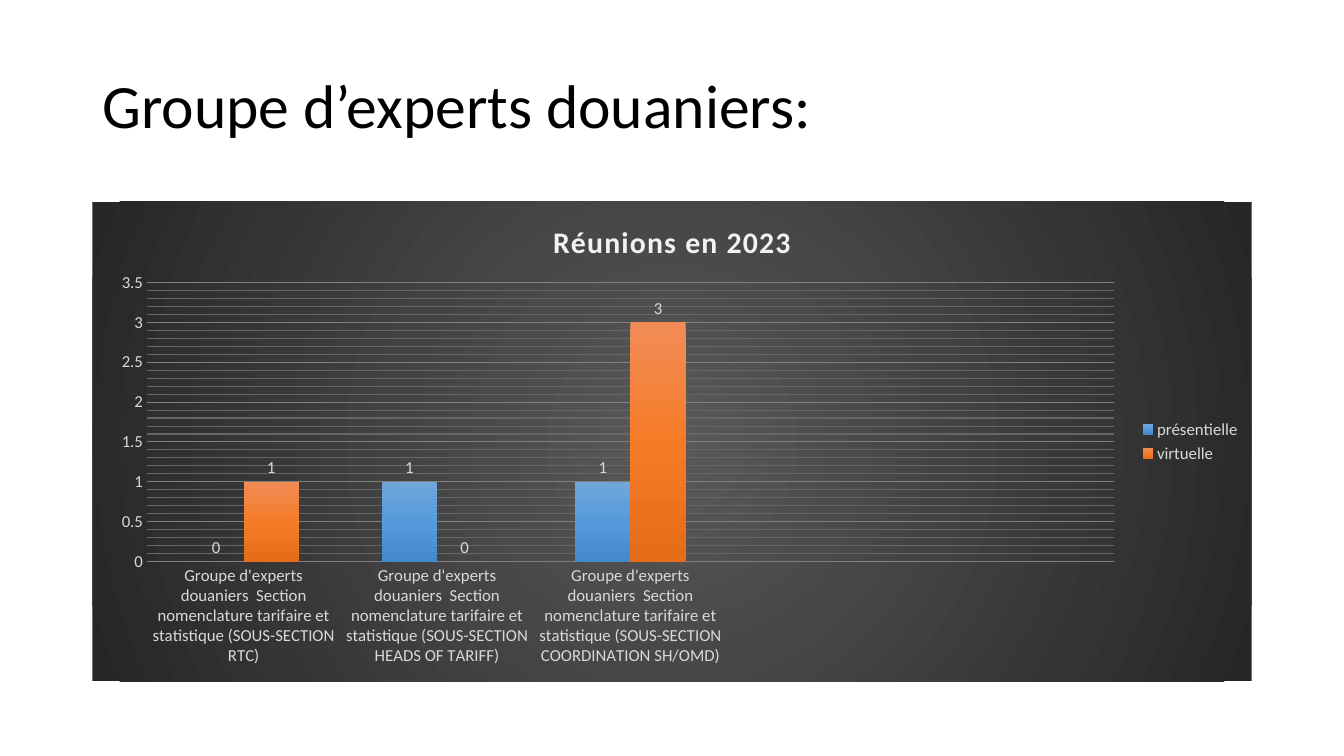
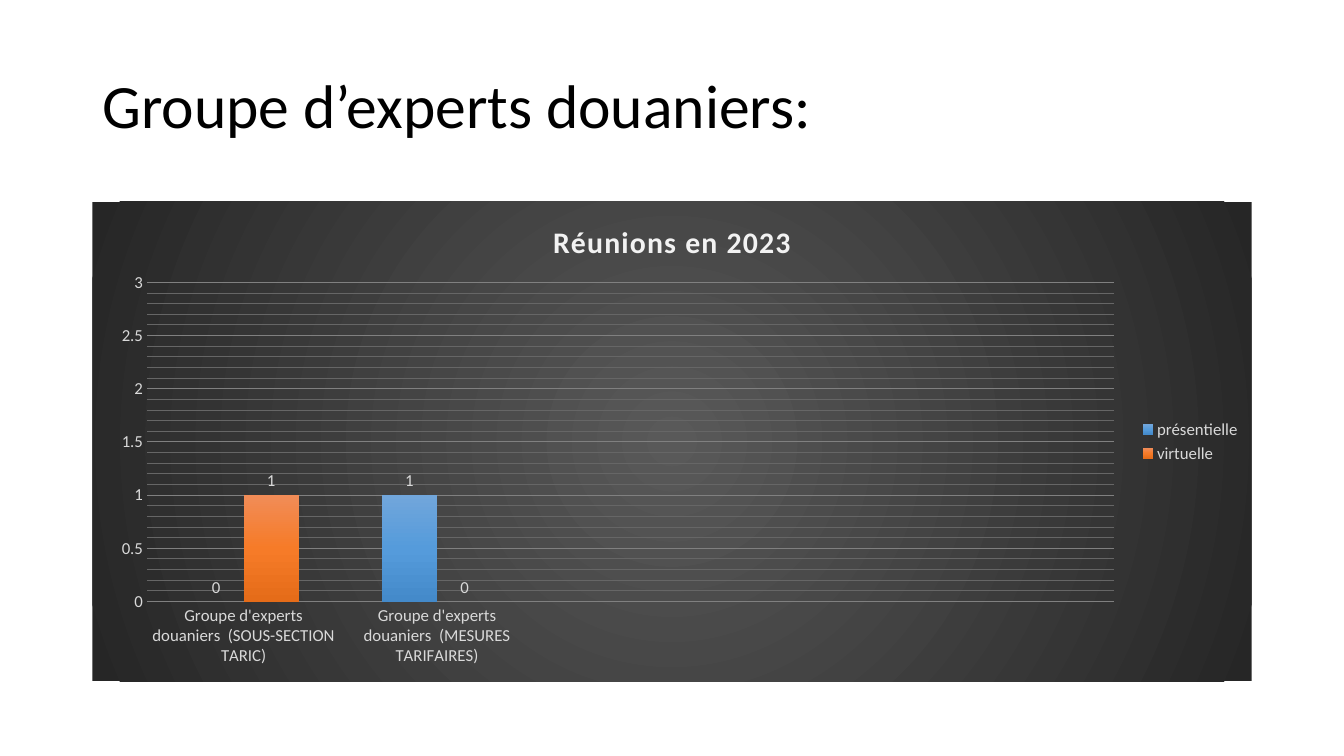
from lxml import etree
from pptx import Presentation
from pptx.chart.data import CategoryChartData
from pptx.dml.color import RGBColor
from pptx.enum.chart import XL_CHART_TYPE, XL_LABEL_POSITION, XL_LEGEND_POSITION, XL_TICK_MARK
from pptx.enum.text import MSO_ANCHOR, PP_ALIGN
from pptx.oxml import parse_xml
from pptx.oxml.ns import nsdecls, qn
from pptx.util import Pt

COLUMN = XL_CHART_TYPE.COLUMN_CLUSTERED
ABOVE = XL_LABEL_POSITION.OUTSIDE_END
RIGHT = XL_LEGEND_POSITION.RIGHT
NO_TICK = XL_TICK_MARK.NONE
MIDDLE = MSO_ANCHOR.MIDDLE
LEFT = PP_ALIGN.LEFT
CENTER = PP_ALIGN.CENTER

SCALE = 9525
SIZE = (1280, 720)
HEAD_BOX = (88, 25, 1104, 156)
CHART_BOX = (88, 192, 1104, 457)
PLOT = (52, 77, 921)
SLOTS = 5
FONT = "Calibri"
BLACK, PALE, LIGHT = "000000", "F2F2F2", "D9D9D9"
MAJOR, MINOR = "808080", "666666"
PANEL = ("595959", "262626")
BLUE = ("71A6DB", "559BDB", "448ACA")
ORANGE = ("F18C57", "F67B28", "E56C19")
RADIAL = ('<a:path path="circle"><a:fillToRect l="50000" t="50000" '
          'r="50000" b="50000"/></a:path>')
DOWN = '<a:lin ang="5400000" scaled="0"/>'

HEAD = "Groupe d’experts douaniers:"
CAPTION = "Réunions en 2023"
GROUP = "Groupe d'experts douaniers  "
TARIFF = GROUP + "Section nomenclature tarifaire et statistique "
SLIDES = [
    {"names": [TARIFF + "(SOUS-SECTION RTC)",
               TARIFF + "(SOUS-SECTION HEADS OF TARIFF)",
               TARIFF + "(SOUS-SECTION COORDINATION SH/OMD)"],
     "onsite": [0, 1, 1], "online": [1, 0, 3], "top": 3.5, "height": 266},
    {"names": [GROUP + "(SOUS-SECTION TARIC)",
               GROUP + "(MESURES TARIFAIRES)"],
     "onsite": [0, 1], "online": [1, 0], "top": 3, "height": 304},
]


def px(*lengths):
    """Turn pixel lengths into EMU."""
    return [length * SCALE for length in lengths]


def tint(code):
    """Return the colour for a hex string."""
    return RGBColor.from_string(code)


def style(font, size, color, bold=False):
    """Set the face, size, weight and colour of a font."""
    font.name, font.size, font.bold = FONT, Pt(size), bold
    font.color.rgb = tint(color)


def write(frame, text, size, color, bold=False, align=LEFT, line=None, space=None):
    """Fill a text frame with one formatted paragraph."""
    para = frame.paragraphs[0]
    para.alignment = align
    if line:
        para.line_spacing = line
    run = para.add_run()
    run.text = text
    style(run.font, size, color, bold)
    if space:
        run.font._element.set("spc", str(space))


def blend(colors, shade):
    """Build a gradient fill with evenly spaced stops."""
    step = 100000 // (len(colors) - 1)
    stops = "".join(f'<a:gs pos="{i * step}"><a:srgbClr val="{c}"/></a:gs>'
                    for i, c in enumerate(colors))
    return parse_xml(f'<a:gradFill {nsdecls("a")} rotWithShape="1">'
                     f'<a:gsLst>{stops}</a:gsLst>{shade}</a:gradFill>')


def pad(items, blank):
    """Extend a list to the full number of chart slots."""
    return items + [blank] * (SLOTS - len(items))


def place(chart, box, height):
    """Fix the inner plot area within the chart box."""
    left, top, width = PLOT
    area = chart._chartSpace.find(qn("c:chart")).find(qn("c:plotArea"))
    old = area.find(qn("c:layout"))
    if old is not None:
        area.remove(old)
    layout = etree.Element(qn("c:layout"))
    manual = etree.SubElement(layout, qn("c:manualLayout"))
    parts = [("layoutTarget", "inner"), ("xMode", "edge"), ("yMode", "edge"),
             ("x", left / box[2]), ("y", top / box[3]),
             ("w", width / box[2]), ("h", height / box[3])]
    for name, value in parts:
        etree.SubElement(manual, qn("c:" + name)).set("val", str(value))
    area.insert(0, layout)


def panel(chart):
    """Give the chart its dark radial background."""
    shape = parse_xml(f'<c:spPr {nsdecls("c", "a")}><a:ln><a:noFill/></a:ln></c:spPr>')
    shape.insert(0, blend(PANEL, RADIAL))
    chart._chartSpace.find(qn("c:chart")).addnext(shape)


def rule(axis, tag, color):
    """Colour one set of grid lines of an axis."""
    axis._element.find(qn(tag)).append(parse_xml(
        f'<c:spPr {nsdecls("c", "a")}><a:ln w="{Pt(0.75)}"><a:solidFill>'
        f'<a:srgbClr val="{color}"/></a:solidFill></a:ln></c:spPr>'))


def axes(chart, top):
    """Format both axes and the grid lines."""
    for axis in (chart.category_axis, chart.value_axis):
        axis.format.line.fill.background()
        axis.major_tick_mark = axis.minor_tick_mark = NO_TICK
        style(axis.tick_labels.font, 12, LIGHT)
    scale = chart.value_axis
    scale.minimum_scale, scale.maximum_scale = 0, top
    scale.major_unit, scale.minor_unit = 0.5, 0.1
    scale.has_major_gridlines = scale.has_minor_gridlines = True
    rule(scale, "c:majorGridlines", MAJOR)
    rule(scale, "c:minorGridlines", MINOR)


def bars(plot):
    """Colour and label the two series of columns."""
    plot.gap_width, plot.overlap = 150, 0
    plot.vary_by_categories = False
    for series, colors in zip(plot.series, (BLUE, ORANGE)):
        series.invert_if_negative = False
        series._element.get_or_add_spPr().append(blend(colors, DOWN))
        labels = series.data_labels
        labels.show_value = True
        labels.position = ABOVE
        style(labels.font, 12, LIGHT)


def graph(slide, box, names, onsite, online, top, height):
    """Place the column chart in its box."""
    data = CategoryChartData()
    data.categories = pad(names, "")
    data.add_series("présentielle", pad(onsite, None))
    data.add_series("virtuelle", pad(online, None))
    chart = slide.shapes.add_chart(COLUMN, *px(*box), data).chart
    style(chart.font, 12, LIGHT)
    panel(chart)
    chart.has_title = True
    write(chart.chart_title.text_frame, CAPTION, 21.3, PALE,
          bold=True, align=CENTER, space=100)
    chart.has_legend = True
    chart.legend.position = RIGHT
    chart.legend.include_in_layout = False
    style(chart.legend.font, 12, LIGHT)
    axes(chart, top)
    bars(chart.plots[0])
    place(chart, box, height)


def head(slide, box):
    """Move and format the title placeholder."""
    title = slide.shapes.title
    title.left, title.top, title.width, title.height = px(*box)
    title.text_frame.vertical_anchor = MIDDLE
    title.text_frame.word_wrap = True
    write(title.text_frame, HEAD, 44, BLACK, line=0.9)


def main():
    """Build and save the presentation."""
    deck = Presentation()
    deck.slide_width, deck.slide_height = px(*SIZE)
    for item in SLIDES:
        slide = deck.slides.add_slide(deck.slide_layouts[5])
        head(slide, HEAD_BOX)
        graph(slide, CHART_BOX, **item)
    deck.save("out.pptx")


if __name__ == "__main__":
    main()
